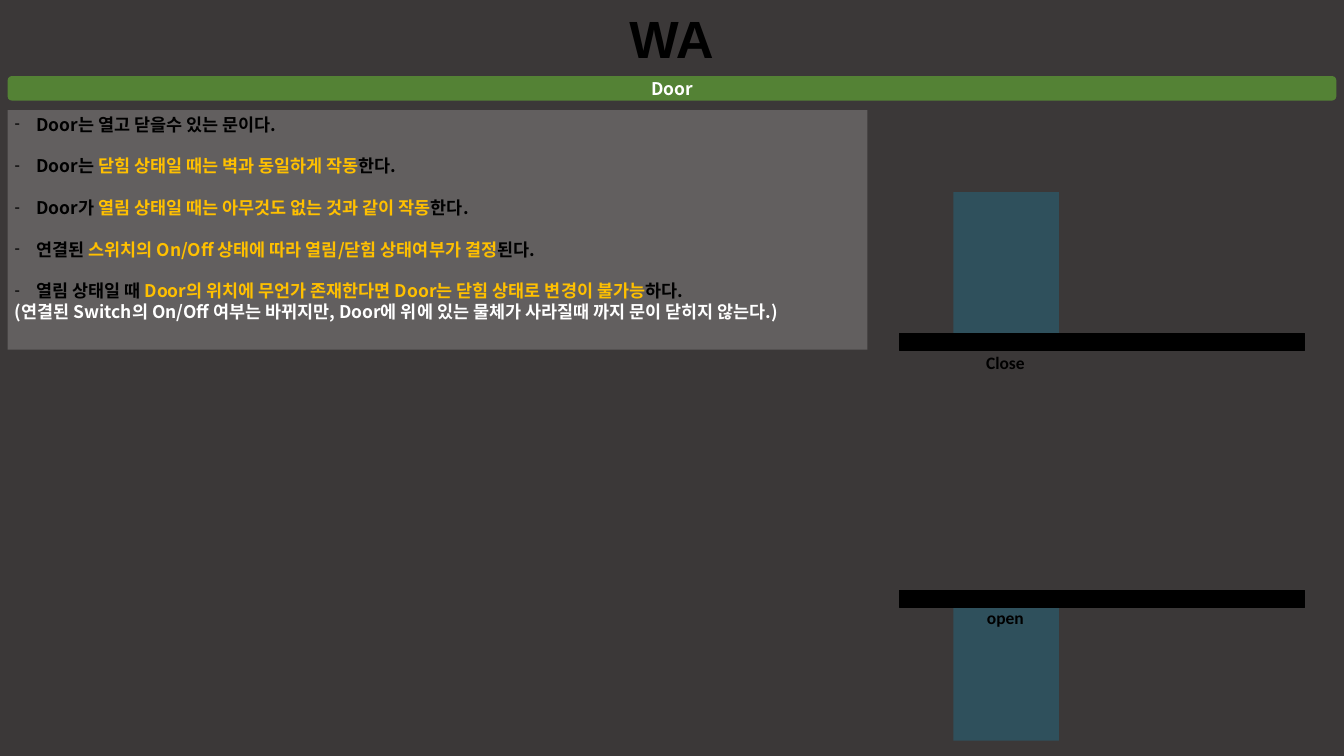
from lxml.etree import SubElement
from pptx import Presentation
from pptx.dml.color import RGBColor as RGB
from pptx.enum.shapes import MSO_SHAPE as Shape
from pptx.enum.text import MSO_ANCHOR as Anchor, MSO_AUTO_SIZE as Auto, PP_ALIGN as Align
from pptx.oxml.ns import qn
from pptx.util import Cm, Pt

COLORS = {"back": "3B3838", "green": "548235", "white": "FFFFFF",
          "black": "000000", "gold": "FFC000", "blue": "00B0F0"}
KOREAN = "Noto Sans CJK KR"


def paint(shape, color, alpha=None):
    shape.fill.solid()
    shape.fill.fore_color.rgb = RGB.from_string(COLORS[color])
    shape.line.fill.background()
    shape.shadow.inherit = False
    if alpha:
        tint = shape.fill._xPr.find(qn("a:solidFill"))[0]
        SubElement(tint, qn("a:alpha"), val=str(alpha * 1000))


def write(para, text, color, face=KOREAN, size=18):
    run = para.add_run()
    run.text = text
    style = {"name": face, "size": Pt(size), "bold": True}
    for key, value in style.items():
        setattr(run.font, key, value)
    run.font.color.rgb = RGB.from_string(COLORS[color])
    if face == KOREAN:
        SubElement(run.font._element, qn("a:ea"), typeface=face)


deck = Presentation()
deck.slide_width, deck.slide_height = Cm(48.92), Cm(27.51)
slide = deck.slides.add_slide(deck.slide_layouts[1])
slide.background.fill.solid()
slide.background.fill.fore_color.rgb = RGB.from_string(COLORS["back"])
shapes = slide.shapes

# Title and body frames
title, body = slide.placeholders
frames = [(title, 22.58, 0.1, 3.73, 2.57), (body, 0.28, 4.01, 31.29, 8.71)]
for holder, *box in frames:
    holder.left, holder.top, holder.width, holder.height = map(Cm, box)
    holder.text_frame.auto_size = Auto.NONE
    holder.text_frame.vertical_anchor = Anchor.TOP
title.text_frame.word_wrap = False
head = title.text_frame.paragraphs[0]
head.alignment = Align.CENTER
write(head, "WA", "black", "Arial", 54)

# Section bar
bar = shapes.add_shape(Shape.ROUNDED_RECTANGLE, Cm(0.28), Cm(2.77), Cm(48.36), Cm(0.89))
paint(bar, "green")
bar.text_frame.vertical_anchor = Anchor.MIDDLE
label = bar.text_frame.paragraphs[0]
label.alignment = Align.CENTER
write(label, "Door", "white")

# Door rules: plain start, gold key phrase, plain end
rules = [
    ("Door는 열고 닫을수 있는 문이다.", "", ""),
    ("Door는 ", "닫힘 상태일 때는 벽과 동일하게 작동", "한다."),
    ("Door가 ", "열림 상태일 때는 아무것도 없는 것과 같이 작동", "한다."),
    ("연결된 ", "스위치의 On/Off 상태에 따라 열림/닫힘 상태여부가 결정", "된다."),
    ("열림 상태일 때 ", "Door의 위치에 무언가 존재한다면 Door는 닫힘 상태로 변경이 불가능", "하다."),
]
note = "(연결된 Switch의 On/Off 여부는 바뀌지만, Door에 위에 있는 물체가 사라질때 까지 문이 닫히지 않는다.)"
paint(body, "white", 20)
frame = body.text_frame
for i, parts in enumerate(rules):
    para = frame.add_paragraph() if i else frame.paragraphs[0]
    props = para._p.get_or_add_pPr()
    props.set("marL", str(Cm(0.79)))
    props.set("indent", str(Cm(-0.79)))
    SubElement(props, qn("a:buFont"), typeface="Calibri")
    SubElement(props, qn("a:buChar"), char="-")
    para.space_before = Pt(21.5 if i else 0)
    for text, color in zip(parts, ("black", "gold", "black")):
        if text:
            write(para, text, color)
last = frame.add_paragraph()
props = last._p.get_or_add_pPr()
props.set("marL", "0")
props.set("indent", "0")
SubElement(props, qn("a:buNone"))
last.space_before = Pt(0)
write(last, note, "white")
for para in frame.paragraphs:
    para.line_spacing = Pt(21.5)

# Closed and open door: door top, floor top, label top
states = [("Close", 6.99, 12.14, 12.7), ("open", 21.79, 21.49, 21.95)]
for name, door_y, floor_y, text_y in states:
    door = shapes.add_shape(Shape.RECTANGLE, Cm(34.7), Cm(door_y), Cm(3.84), Cm(5.16))
    paint(door, "blue", 20)
    floor = shapes.add_shape(Shape.RECTANGLE, Cm(32.74), Cm(floor_y), Cm(14.76), Cm(0.61))
    paint(floor, "black")
    floor.line.color.rgb = RGB.from_string(COLORS["black"])
    floor.line.width = Pt(1)
    box = shapes.add_textbox(Cm(34.87), Cm(text_y), Cm(3.45), Cm(1.02))
    box.text_frame.word_wrap = True
    para = box.text_frame.paragraphs[0]
    para.alignment = Align.CENTER
    write(para, name, "black", "Calibri")

deck.save("out.pptx")
